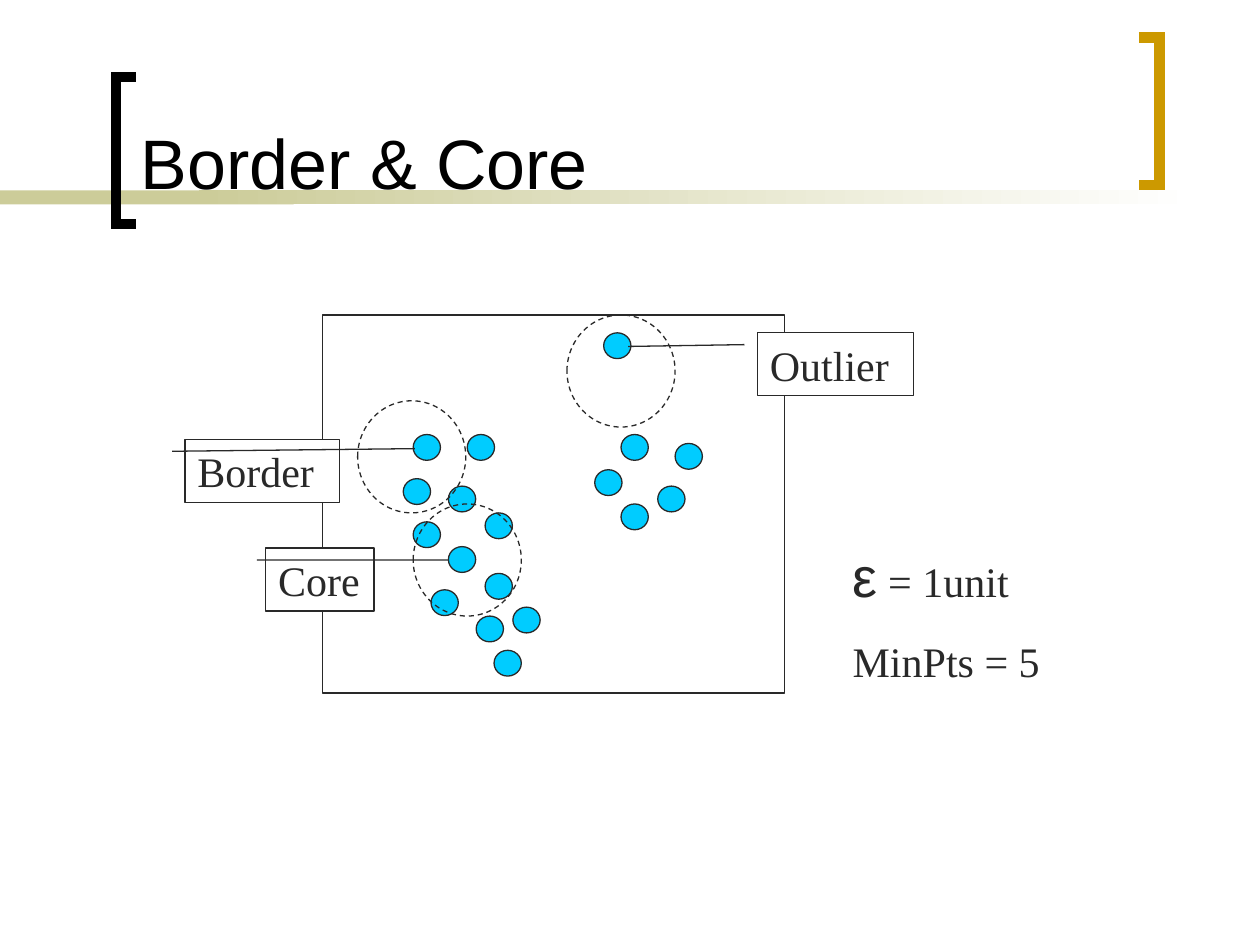
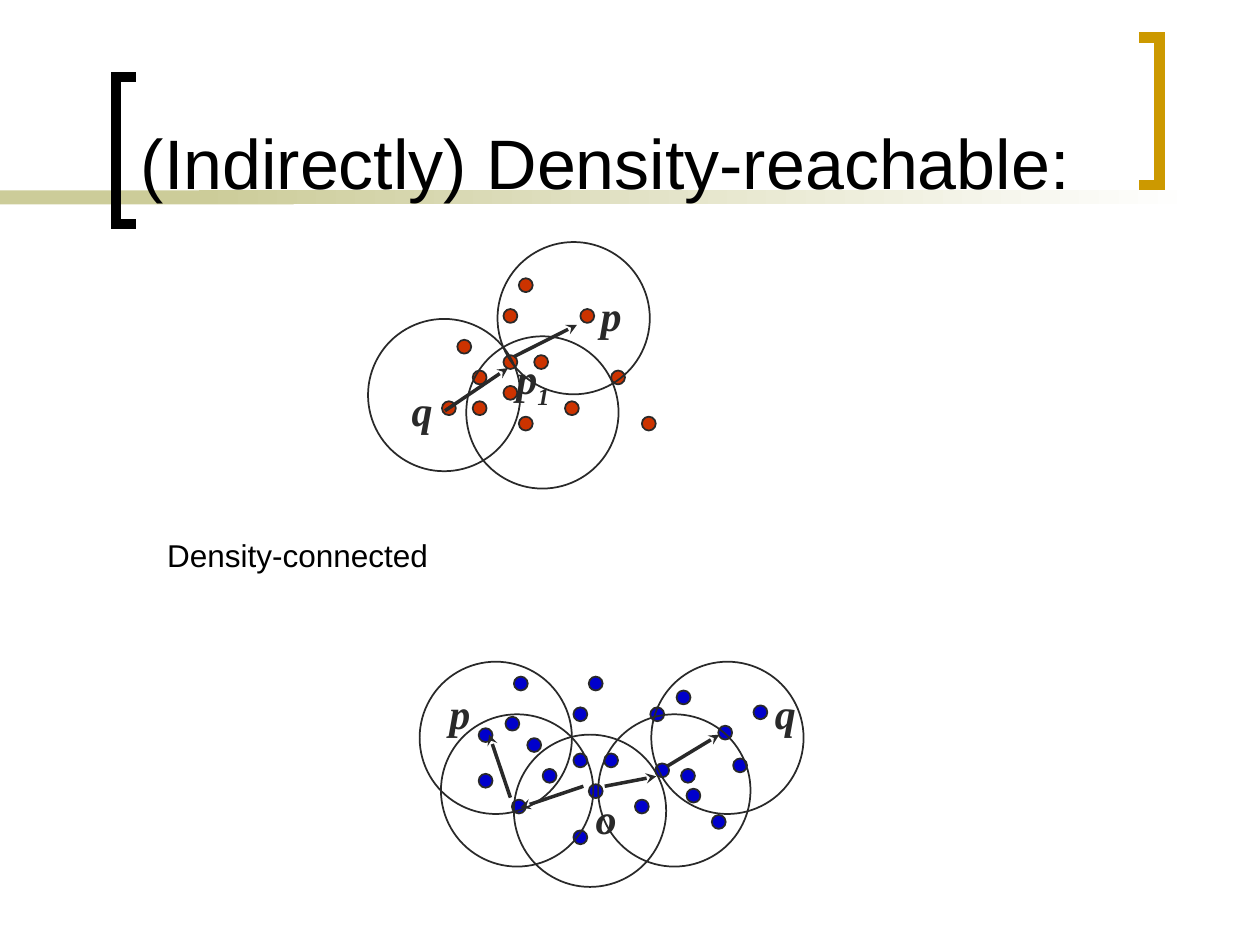
from dataclasses import dataclass

from lxml import etree
from pptx import Presentation
from pptx import util as u
from pptx.dml.color import RGBColor
from pptx.enum import dml, shapes, text
from pptx.oxml.ns import qn

Cm = u.Cm


@dataclass(frozen=True)
class Theme:
    black: str = "000000"
    white: str = "FFFFFF"
    ink: str = "292929"
    gold: str = "CC9900"
    band: str = "CCCC99"
    cyan: str = "00CCFF"
    red: str = "CC3300"
    blue: str = "0000CC"
    sans: str = "Arial"
    serif: str = "Times New Roman"
    title: float = 40
    epsilon: float = 32
    label: float = 24
    subtitle: float = 18
    paragraph_gap: float = 15
    bracket: float = 6
    arrow: float = 2
    outline: float = 1
    fine: float = 0.75


THEME = Theme()

GRID = 0.31
DOT = (0.28, 0.28)
NEIGHBOURHOOD = (3.07, 3.07)
POINT = (0.55, 0.52)
RADIUS = (2.18, 2.26)

POINTS = [
    (8.33, 8.76), (8.13, 9.65), (9.04, 9.8), (9.42, 8.76), (9.78, 10.34),
    (8.33, 10.52), (9.04, 11.02), (8.69, 11.89), (9.6, 12.42), (9.96, 13.11),
    (9.78, 11.56), (10.34, 12.24), (12.17, 6.71), (12.52, 8.76),
    (11.99, 9.47), (13.26, 9.8), (13.61, 8.94), (12.52, 10.16),
]
SHARED_CELLS = [(1, 4), (4, 5), (4, 2), (0, 8), (2, 6), (5, 0),
                (11, 6), (9, 2), (6, 5), (8, 8), (13, 9)]
REACHABLE_CELLS = SHARED_CELLS + [(2, 8), (5, 9), (4, 7)]
CONNECTED_CELLS = SHARED_CELLS + [(4, 10), (5, 7)]
CONNECTED_EXTRAS = [
    (9.65, 15.6), (14.78, 15.29), (13.21, 15.39), (13.84, 15.9),
    (15.19, 14.22), (13.64, 13.92), (14.48, 14.63), (10.19, 14.45),
    (9.65, 14.68), (10.36, 13.64),
]


def rgb(colour):
    return RGBColor.from_string(colour)


def style_shape(shape, fill=None, line=None, width=THEME.fine):
    shape.shadow.inherit = False
    if fill:
        shape.fill.solid()
        shape.fill.fore_color.rgb = rgb(fill)
    else:
        shape.fill.background()
    if line:
        shape.line.color.rgb = rgb(line)
        shape.line.width = u.Pt(width)
    else:
        shape.line.fill.background()
    return shape


def add_preset(slide, kind, position, extent, **style):
    shape = slide.shapes.add_shape(kind, *map(Cm, position + extent))
    return style_shape(shape, **style)


def format_run(run, size, font=THEME.serif, colour=THEME.ink, emphasis=False):
    run.font.size = u.Pt(size)
    run.font.name = font
    run.font.color.rgb = rgb(colour)
    run.font.bold = run.font.italic = emphasis


def add_text(slide, wording, position, extent, wrap=True,
             anchor=text.MSO_ANCHOR.TOP, **style):
    box = slide.shapes.add_textbox(*map(Cm, position + extent))
    frame = box.text_frame
    frame.word_wrap = wrap
    frame.vertical_anchor = anchor
    frame.text = wording
    for paragraph in frame.paragraphs:
        for run in paragraph.runs:
            format_run(run, **style)
    return frame


def add_band(slide, left, width):
    return add_preset(slide, shapes.MSO_SHAPE.RECTANGLE, (left, 3.84),
                      (width, 0.28), fill=THEME.band)


def add_bracket(slide, spine, tip, top, colour):
    bottom = top + 2.97
    builder = slide.shapes.build_freeform(Cm(tip), Cm(top))
    corners = [(spine, top), (spine, bottom), (tip, bottom)]
    builder.add_line_segments([(Cm(x), Cm(y)) for x, y in corners], close=False)
    bracket = style_shape(builder.convert_to_shape(), line=colour,
                          width=THEME.bracket)
    etree.SubElement(bracket.line._get_or_add_ln(), qn("a:miter"), lim="800000")


def add_titled_slide(deck, title):
    slide = deck.slides.add_slide(deck.slide_layouts[6])
    add_band(slide, 0, 5.92)
    fade = add_band(slide, 4.01, 20.12).fill
    fade.gradient()
    fade.gradient_angle = 0
    for stop, colour in zip(fade.gradient_stops, (THEME.band, THEME.white)):
        stop.color.rgb = rgb(colour)
    add_bracket(slide, 2.34, 2.74, 1.55, THEME.black)
    add_bracket(slide, 23.37, 22.96, 0.76, THEME.gold)
    add_text(slide, title, (2.59, 0.28), (19.89, 3.94),
             anchor=text.MSO_ANCHOR.BOTTOM, size=THEME.title,
             font=THEME.sans, colour=THEME.black)
    return slide


def add_circles(slide, positions, extent, **style):
    return [add_preset(slide, shapes.MSO_SHAPE.OVAL, position, extent,
                       line=THEME.ink, **style) for position in positions]


def add_callout(slide, wording, position, width, pointer):
    callout = add_preset(slide, shapes.MSO_SHAPE.LINE_CALLOUT_1, position,
                         (width, 1.27), fill=THEME.white, line=THEME.ink)
    for index, value in enumerate((0.188, -0.083) + pointer):
        callout.adjustments[index] = value
    frame = callout.text_frame
    frame.word_wrap = True
    frame.vertical_anchor = text.MSO_ANCHOR.TOP
    frame.text = wording
    paragraph = frame.paragraphs[0]
    paragraph.alignment = text.PP_ALIGN.LEFT
    format_run(paragraph.runs[0], THEME.label)


def add_arrow(slide, start, tip):
    arrow = slide.shapes.add_connector(shapes.MSO_CONNECTOR.STRAIGHT,
                                       *map(Cm, start + tip))
    arrow.line.color.rgb = rgb(THEME.ink)
    arrow.line.width = u.Pt(THEME.arrow)
    etree.SubElement(arrow.line._get_or_add_ln(), qn("a:tailEnd"), type="stealth")
    etree.SubElement(arrow._element.spPr, qn("a:effectLst"))


def add_point_label(slide, letter, position, subscript="", width=1.07):
    frame = add_text(slide, letter, position, (width, 1.27),
                     size=THEME.label, emphasis=True)
    if subscript:
        run = frame.paragraphs[0].add_run()
        run.text = subscript
        format_run(run, THEME.label, emphasis=True)
        run._r.get_or_add_rPr().set("baseline", "-25000")


def grid_positions(cells, left, top):
    return [(left + GRID * column, top + GRID * row) for column, row in cells]


def add_density_diagram(slide, dots, colour, neighbourhoods, arrows, labels):
    add_circles(slide, dots, DOT, fill=colour, width=THEME.outline)
    add_circles(slide, neighbourhoods, NEIGHBOURHOOD, width=THEME.outline)
    for start, tip in arrows:
        add_arrow(slide, start, tip)
    for letter, position in labels:
        add_point_label(slide, letter, position)


def add_parameters(slide):
    frame = add_text(slide, "ε", (16.94, 10.8), (4.57, 3.15),
                     size=THEME.epsilon, font=THEME.sans)
    epsilon = frame.paragraphs[0]
    min_points = frame.add_paragraph()
    min_points.space_before = u.Pt(THEME.paragraph_gap)
    for paragraph, wording in ((epsilon, " = 1unit"), (min_points, "MinPts = 5")):
        run = paragraph.add_run()
        run.text = wording
        format_run(run, THEME.label)


def build_border_and_core(deck):
    slide = add_titled_slide(deck, "Border & Core")
    add_circles(slide, POINTS, POINT, fill=THEME.cyan)
    add_preset(slide, shapes.MSO_SHAPE.RECTANGLE, (6.5, 6.35), (9.32, 7.62),
               line=THEME.ink)
    radii = [(7.21, 8.08), (8.33, 10.16), (11.43, 6.35)]
    for radius in add_circles(slide, radii, RADIUS):
        radius.line.dash_style = dml.MSO_LINE.DASH
    add_callout(slide, "Core", (5.36, 11.05), 2.18, (0.191, 1.687))
    add_callout(slide, "Border", (3.73, 8.86), 3.12, (0.146, 1.485))
    add_callout(slide, "Outlier", (15.27, 6.71), 3.15, (0.217, -0.828))
    add_parameters(slide)


def build_density_reachable(deck):
    slide = add_titled_slide(deck, "(Indirectly) Density-reachable:")
    add_density_diagram(
        slide, grid_positions(REACHABLE_CELLS, 8.91, 5.61), THEME.red,
        neighbourhoods=[(9.4, 6.78), (7.42, 6.43), (10.03, 4.88)],
        arrows=[((10.36, 7.19), (11.63, 6.55)), ((8.97, 8.28), (10.24, 7.42))],
        labels=[("p", (11.86, 5.72)), ("q", (8.05, 7.62))])
    add_point_label(slide, "p", (10.16, 6.99), subscript="1", width=1.7)
    add_density_diagram(
        slide, grid_positions(CONNECTED_CELLS, 10.32, 13.64) + CONNECTED_EXTRAS,
        THEME.blue,
        neighbourhoods=[(8.89, 14.4), (10.36, 14.81), (12.06, 14.4),
                        (13.13, 13.34), (8.46, 13.34)],
        arrows=[((11.76, 15.85), (10.49, 16.28)), ((12.19, 15.85), (13.23, 15.65)),
                ((10.29, 16.08), (9.86, 14.81)), ((13.46, 15.44), (14.5, 14.81))],
        labels=[("p", (8.81, 13.74)), ("q", (15.37, 13.74)), ("o", (11.76, 15.85))])
    add_text(slide, "Density-connected", (3.12, 10.69), (5.77, 1.02), wrap=False,
             size=THEME.subtitle, font=THEME.sans, colour=THEME.black)


def main():
    deck = Presentation()
    deck.slide_width, deck.slide_height = Cm(25.4), Cm(19.05)
    build_border_and_core(deck)
    build_density_reachable(deck)
    deck.save("out.pptx")


if __name__ == "__main__":
    main()
